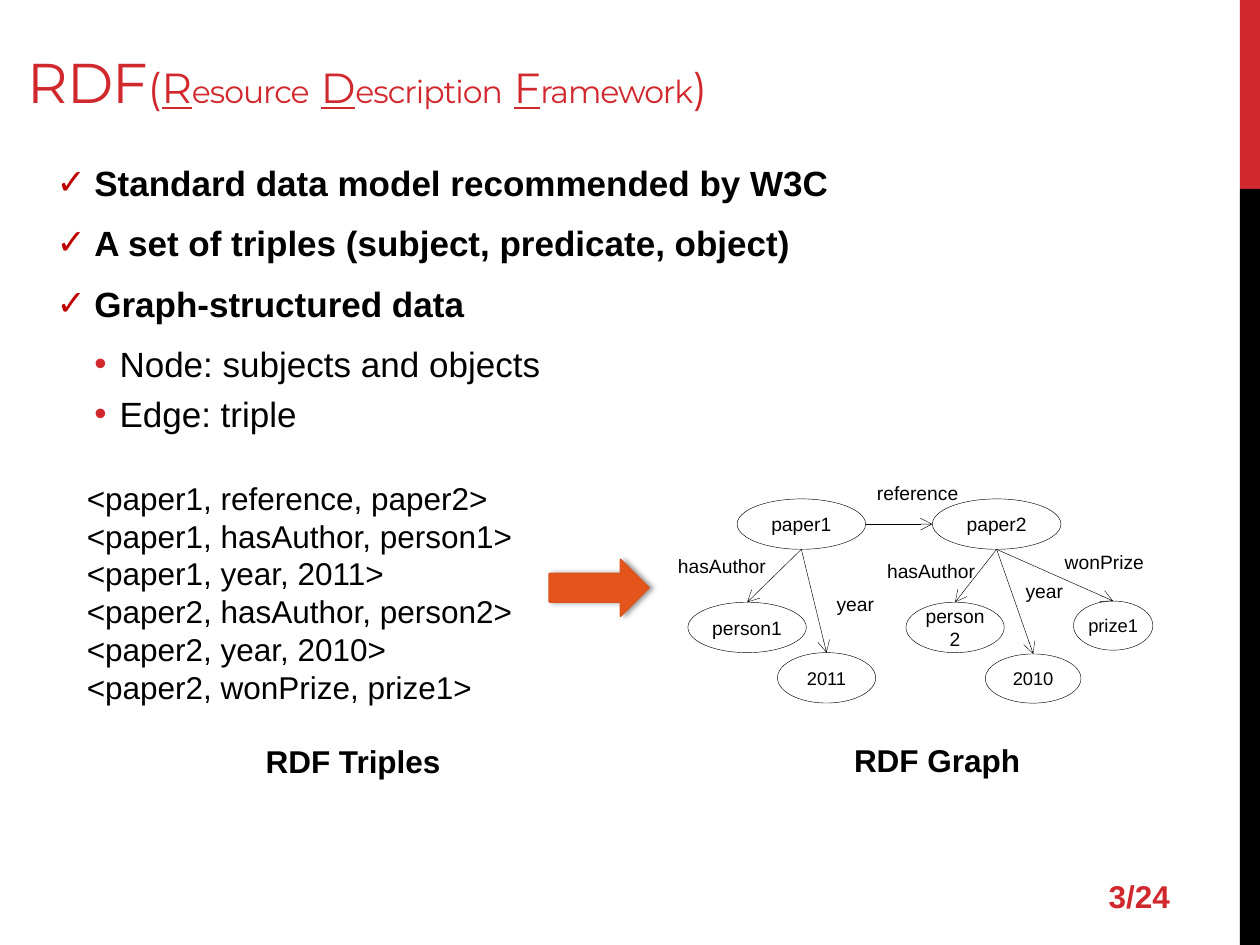
"""Build a slide that explains RDF with triples and their graph."""
from dataclasses import dataclass

from lxml import etree
from pptx import Presentation
from pptx import util as u
from pptx.dml.color import RGBColor
from pptx.enum import shapes, text
from pptx.oxml import ns

RED, BLACK = "D1282E", "000000"
KIND = shapes.MSO_SHAPE


@dataclass
class Node:
    name: str
    left: float
    top: float
    width: float
    height: float = 0.4
    size: float = 11

    @property
    def mid(self) -> float:
        return self.left + self.width / 2

    @property
    def base(self) -> float:
        return self.top + self.height


@dataclass
class Label:
    words: str
    left: float
    top: float
    width: float
    height: float = 0.29
    size: float = 11
    bold: bool = False
    color: str = BLACK
    pad: float = 0
    wrap: bool = True
    middle: bool = False


@dataclass
class Point:
    words: str
    sub: bool = False


NODES = {
    "paper1": Node("paper1", 5.85, 3.96, 1.02),
    "2011": Node("2011", 6.17, 5.18, 0.78, size=10.5),
    "person1": Node("person1", 5.46, 4.78, 0.94),
    "prize1": Node("prize1", 8.52, 4.77, 0.63, 0.39, 10.5),
    "paper2": Node("paper2", 7.4, 3.96, 1.02),
    "2010": Node("2010", 7.82, 5.19, 0.76, 0.39, 10.5),
    "person2": Node("person2", 7.19, 4.78, 0.78),
}
LINKS = [
    ("paper1", "2011"), ("paper1", "person1"),
    ("paper2", "prize1"), ("paper2", "2010"), ("paper2", "person2"),
]
TRIPLES = [
    "<paper1, reference, paper2>",
    "<paper1, hasAuthor, person1>",
    "<paper1, year, 2011>",
    "<paper2, hasAuthor, person2>",
    "<paper2, year, 2010>",
    "<paper2, wonPrize, prize1>",
]
LABELS = [
    Label("year", 6.64, 4.65, 0.47),
    Label("reference", 6.96, 3.77, 1.1),
    Label("hasAuthor", 5.38, 4.35, 0.79),
    Label("wonPrize", 8.45, 4.32, 0.94),
    Label("year", 8.14, 4.55, 0.47),
    Label("hasAuthor", 7.04, 4.39, 1.25),
    Label("RDF Graph", 6.68, 5.83, 1.53, 0.4, 18, True, pad=0.1, wrap=False),
    Label("RDF Triples", 2.01, 5.84, 1.6, 0.4, 18, True, pad=0.1, wrap=False),
    Label("\n".join(TRIPLES), 0.59, 3.75, 3.61, 1.92, 18, pad=0.1, wrap=False),
    Label("3/24", 8.7, 6.74, 1.1, 0.74, 18, True, RED, 0.1, middle=True),
]
POINTS = [
    Point("Standard data model recommended by W3C"),
    Point("A set of triples (subject, predicate, object)"),
    Point("Graph-structured data"),
    Point("Node: subjects and objects", True),
    Point("Edge: triple", True),
]
TITLE = [
    ("RDF", 32), ("(", 24), ("R", 24), ("esource", 18), (" ", 24), ("D", 24),
    ("escription", 18), (" ", 24), ("F", 24), ("ramework", 18), (")", 24),
]


def paint(form, code: str) -> None:
    form.rgb = RGBColor.from_string(code)


def style(font, size: float, code: str = BLACK, bold: bool = False, face: str = "Arial") -> None:
    font.size, font.bold, font.name = u.Pt(size), bold, face
    paint(font.color, code)


def add_tag(home, tag: str, **traits: str):
    return etree.SubElement(home, ns.qn(tag), traits)


def add_form(slide, kind, left: float, top: float, width: float, height: float,
             fill: str = "", line: str = "", weight: float = 0.25):
    form = slide.shapes.add_shape(kind, *map(u.Inches, (left, top, width, height)))
    form.shadow.inherit = False
    if fill:
        form.fill.solid()
        paint(form.fill.fore_color, fill)
    else:
        form.fill.background()
    if line:
        paint(form.line.color, line)
        form.line.width = u.Pt(weight)
    else:
        form.line.fill.background()
    return form


def add_box(slide, left: float, top: float, width: float, height: float):
    frame = slide.shapes.add_textbox(*map(u.Inches, (left, top, width, height))).text_frame
    frame.word_wrap = True
    return frame


def add_label(slide, label: Label) -> None:
    frame = add_box(slide, label.left, label.top, label.width, label.height)
    frame.word_wrap = label.wrap
    frame.margin_left = frame.margin_right = u.Inches(label.pad)
    if label.middle:
        frame.vertical_anchor = text.MSO_ANCHOR.MIDDLE
    else:
        frame.auto_size = text.MSO_AUTO_SIZE.SHAPE_TO_FIT_TEXT
    frame.text = label.words
    for para in frame.paragraphs:
        for run in para.runs:
            style(run.font, label.size, label.color, label.bold)


def add_node(slide, node: Node) -> None:
    form = add_form(slide, KIND.OVAL, node.left, node.top, node.width, node.height, line=BLACK)
    frame = form.text_frame
    frame.margin_left = frame.margin_right = 0
    frame.word_wrap = True
    frame.vertical_anchor = text.MSO_ANCHOR.MIDDLE
    frame.text = node.name
    para = frame.paragraphs[0]
    para.alignment = text.PP_ALIGN.CENTER
    style(para.runs[0].font, node.size)


def add_link(slide, *ends: float) -> None:
    link = slide.shapes.add_connector(shapes.MSO_CONNECTOR.STRAIGHT, *map(u.Inches, ends))
    paint(link.line.color, BLACK)
    link.line.width = u.Pt(0.25)
    add_tag(link.line._get_or_add_ln(), "a:tailEnd", type="arrow")
    add_tag(link._element.spPr, "a:effectLst")


def add_title(slide) -> None:
    frame = add_box(slide, 0.12, 0.13, 9.61, 0.83)
    frame.vertical_anchor = text.MSO_ANCHOR.BOTTOM
    for words, size in TITLE:
        run = frame.paragraphs[0].add_run()
        run.text = words
        style(run.font, size, RED, face="Montserrat")
        run.font.underline = words in ("R", "D", "F")
        run.font._element.set("spc", "-60")


def add_points(slide) -> None:
    frame = add_box(slide, 0.35, 1.23, 9.29, 3.42)
    frame.text = "\n".join(point.words for point in POINTS)
    for rank, (para, point) in enumerate(zip(frame.paragraphs, POINTS)):
        para.level = int(point.sub)
        left, hang, mark, code = (0.5, 0.2, "•", RED) if point.sub else (0.3, 0.3, "✓", "C00000")
        traits = para._p.get_or_add_pPr()
        traits.set("marL", str(u.Inches(left)))
        traits.set("indent", str(-u.Inches(hang)))
        add_tag(add_tag(traits, "a:buClr"), "a:srgbClr", val=code)
        add_tag(traits, "a:buFont", typeface="Arial")
        add_tag(traits, "a:buChar", char=mark)
        para.space_before = u.Pt(4.6 if rank else 0)
        para.space_after = u.Pt(0 if point.sub else 6)
        style(para.runs[0].font, 20, bold=not point.sub)


def add_arrow(slide) -> None:
    arrow = add_form(slide, KIND.RIGHT_ARROW, 4.36, 4.44, 0.79, 0.45, "E5551B", "DC551F", 1)
    glow = add_tag(arrow._element.spPr.find(ns.qn("a:effectLst")), "a:outerShdw",
                   blurRad=str(u.Pt(3.1)), dist=str(u.Pt(1.8)), dir="0", rotWithShape="0")
    add_tag(add_tag(glow, "a:srgbClr", val=BLACK), "a:alpha", val="40000")


def main() -> None:
    deck = Presentation()
    deck.slide_width, deck.slide_height = u.Inches(10), u.Inches(7.5)
    slide = deck.slides.add_slide(deck.slide_layouts[6])
    add_form(slide, KIND.RECTANGLE, 9.84, 0, 0.16, 1.5, RED)
    add_form(slide, KIND.RECTANGLE, 9.84, 1.5, 0.16, 6, BLACK)
    add_title(slide)
    add_points(slide)
    for node in NODES.values():
        add_node(slide, node)
    for start, end in LINKS:
        head, goal = NODES[start], NODES[end]
        add_link(slide, head.mid, head.base, goal.mid, goal.top)
    add_link(slide, 6.87, 4.16, 7.4, 4.16)
    for label in LABELS:
        add_label(slide, label)
    add_arrow(slide)
    deck.save("out.pptx")


if __name__ == "__main__":
    main()
